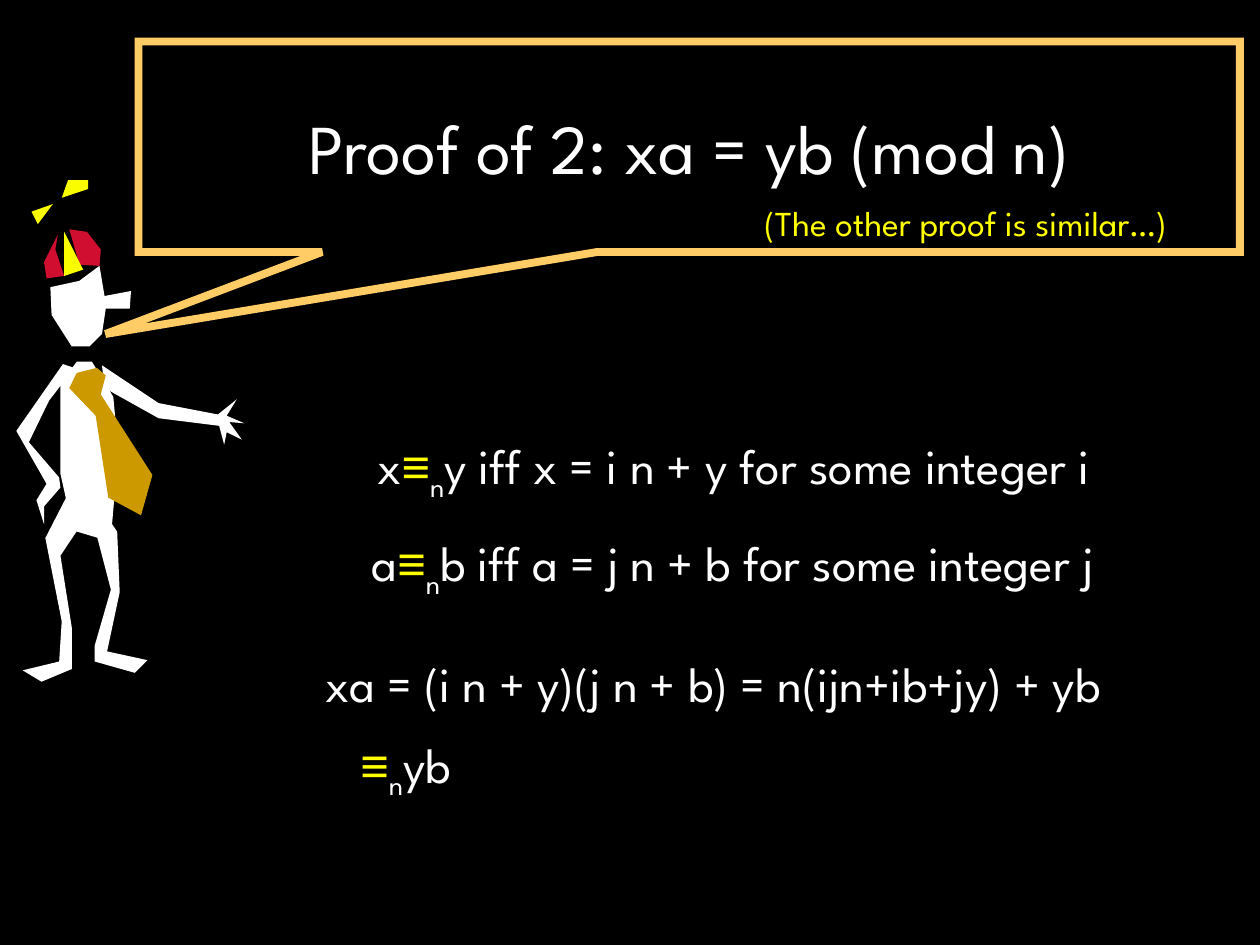
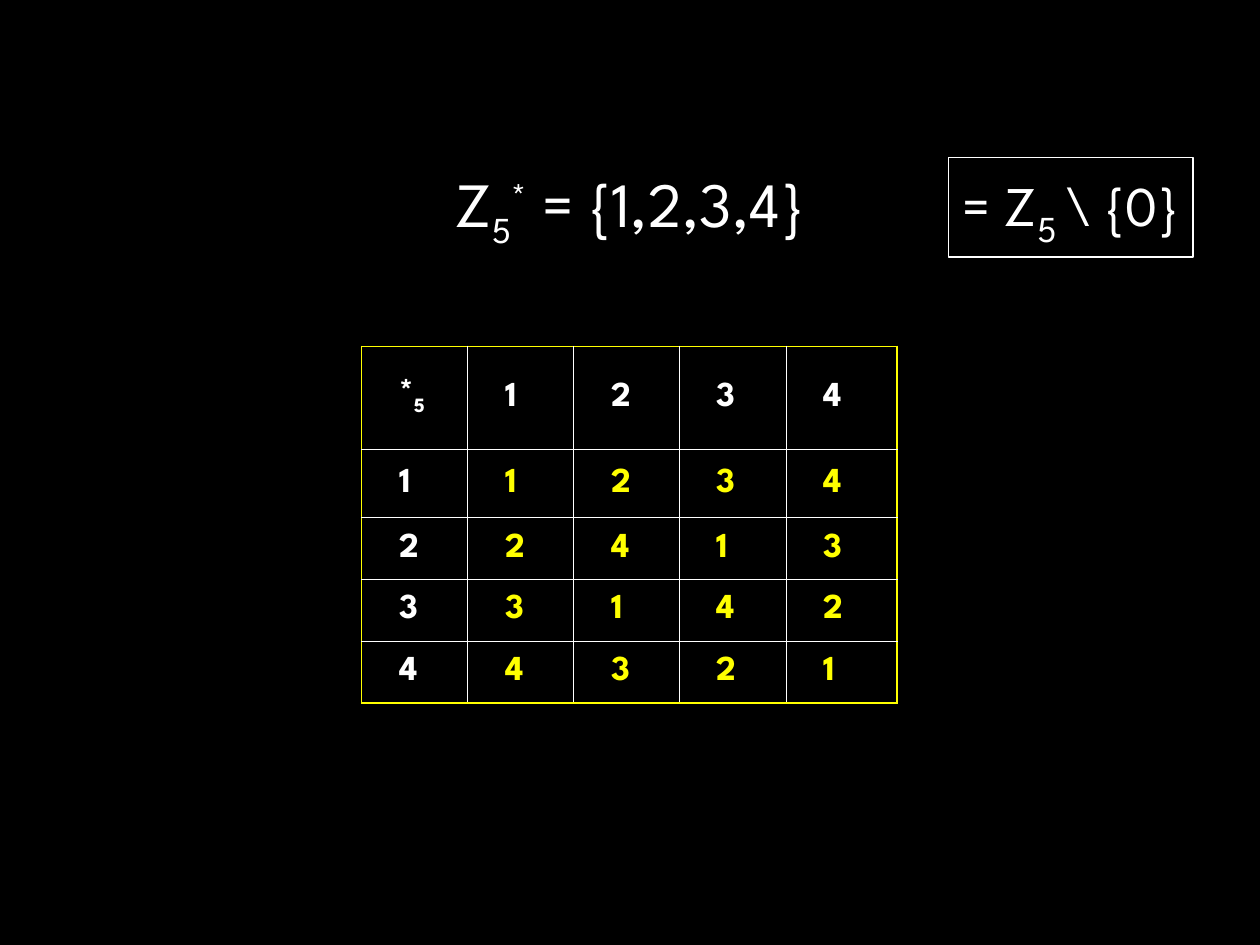
from lxml import etree
from pptx import Presentation, util as u
from pptx.dml.color import RGBColor
from pptx.enum import shapes, text
from pptx.oxml.ns import qn

PX = 9144  # EMU in one px, 100 px to the inch
WHITE, BLACK, YELLOW, ORANGE = "FFFFFF", "000000", "FFFF00", "FFCC66"
OCHRE, RED, LEMON = "CC9900", "CF0E30", "FAFD00"
SUB, SUPER = "-25000", "30000"
rgb = RGBColor.from_string


def write(tf, runs, size, color=WHITE, pad=10, align=text.PP_ALIGN.CENTER, **fmt):
    """Fill a frame with runs: (text, optional dict of size, color, name, baseline)."""
    for side, gap in {"left": pad, "right": pad, "top": 5, "bottom": 5}.items():
        setattr(tf, f"margin_{side}", gap * PX)
    p = tf.paragraphs[0]
    p.alignment = align
    for words, *own in runs:
        f = {"size": size, "color": color, "name": "League Spartan", **fmt}
        f.update(*own)
        r = p.add_run()
        r.text = words
        r.font.color.rgb = rgb(f.pop("color"))
        f["size"] = u.Pt(f["size"])
        baseline = f.pop("baseline", None)
        for key, value in f.items():
            setattr(r.font, key, value)
        if baseline:
            r.font._element.set("baseline", baseline)


def add_label(s, box, runs, size, color=WHITE):
    """Add a one-line text box centred on its place."""
    tf = s.shapes.add_textbox(*[n * PX for n in box]).text_frame
    tf.word_wrap = False
    tf.auto_size = text.MSO_AUTO_SIZE.SHAPE_TO_FIT_TEXT
    write(tf, runs, size, color)


prs = Presentation()
prs.slide_width, prs.slide_height = 1000 * PX, 750 * PX
proof, group_table = [prs.slides.add_slide(prs.slide_layouts[6]) for _ in range(2)]
for s in (proof, group_table):
    s.background.fill.solid()
    s.background.fill.fore_color.rgb = rgb(BLACK)

# Slide 1: speech callout with the title
s = proof
sp = s.shapes.add_shape(shapes.MSO_SHAPE.RECTANGULAR_CALLOUT,
                        110 * PX, 33 * PX, 874 * PX, 167 * PX)
sp.adjustments[0], sp.adjustments[1] = -0.53, 0.89
sp.shadow.inherit = False
sp.fill.background()
sp.line.color.rgb = rgb(ORANGE)
sp.line.width = u.Pt(4.5)
etree.SubElement(sp._element.spPr.find(qn("a:ln")), qn("a:miter"), lim="800000")
sp.text_frame.vertical_anchor = text.MSO_ANCHOR.MIDDLE
write(sp.text_frame, [("Proof of 2: xa = yb (mod n)",)], 40, pad=30)
add_label(s, (573, 155, 387, 44), [("(The other proof is similar…)",)], 20, YELLOW)

# Speaker figure, back to front: colour and outline of each part
figure = [
    # head with nose
    (WHITE, [(40, 228), (63, 223), (79, 211), (83, 235), (104, 231), (103, 245),
             (84, 245), (81, 265), (71, 275), (57, 275), (41, 250)]),
    # body
    (WHITE, [(48, 305), (61, 287), (73, 287), (90, 315), (94, 358), (89, 416),
             (78, 427), (58, 421), (48, 376)]),
    # bent arm
    (WHITE, [(50, 289), (59, 292), (39, 318), (23, 351), (47, 379), (48, 387),
             (35, 402), (35, 416), (29, 397), (37, 384), (13, 342)]),
    # stretched arm
    (WHITE, [(81, 290), (126, 320), (173, 329), (188, 317), (180, 330), (194, 336),
             (182, 335), (192, 349), (180, 343), (178, 353), (174, 338), (126, 332),
             (83, 308)]),
    # left leg
    (WHITE, [(54, 392), (66, 414), (48, 441), (57, 498), (57, 531), (33, 541),
             (18, 532), (47, 525), (49, 493), (36, 427)]),
    # right leg
    (WHITE, [(78, 400), (93, 422), (95, 470), (85, 517), (117, 524), (107, 534),
             (75, 525), (75, 513), (88, 468), (76, 422)]),
    # tie
    (OCHRE, [(61, 296), (77, 292), (84, 298), (80, 313), (121, 377), (112, 409),
             (86, 395), (76, 330), (55, 308)]),
    # cap: two red sides and a stripe
    (RED, [(37, 221), (35, 208), (46, 186), (44, 198), (51, 219)]),
    (RED, [(55, 182), (69, 184), (80, 198), (79, 211), (63, 210)]),
    (LEMON, [(51, 184), (66, 214), (51, 219)]),
    # propeller blades
    (LEMON, [(54, 143), (70, 143), (70, 150), (49, 157)]),
    (LEMON, [(25, 168), (42, 162), (30, 178)]),
]
speaker = s.shapes.add_group_shape()
for color, (start, *rest) in figure:
    outline = speaker.shapes.build_freeform(*start, scale=PX)
    outline.add_line_segments(rest, close=True)
    sp = outline.convert_to_shape()
    sp.shadow.inherit = False
    sp.fill.solid()
    sp.fill.fore_color.rgb = rgb(color)
    sp.line.fill.background()

# Proof lines
congruent = [("≡", {"name": "Arial", "color": YELLOW}), ("n", {"baseline": SUB})]
proof_lines = [
    ((229, 341, 706, 63), [("x",), *congruent, ("y iff x = i n + y for some integer i",)]),
    ((223, 418, 717, 63), [("a",), *congruent, ("b iff a = j n + b for some integer j",)]),
    ((208, 514, 716, 57), [("xa = (i n + y)(j n + b) = n(ijn+ib+jy) + yb",)]),
    ((263, 578, 118, 63), [*congruent, ("yb",)]),
]
for box, runs in proof_lines:
    add_label(s, box, runs, 28)

# Slide 2: multiplication table modulo 5
s = group_table
MOD = 5
widths, heights = [84, 84, 84, 85, 88], [82, 54, 49, 49, 49]
table = s.shapes.add_table(MOD, MOD, 287 * PX, 275 * PX,
                           sum(widths) * PX, sum(heights) * PX).table
table.first_row = table.horz_banding = False
for i in range(MOD):
    table.columns[i].width = widths[i] * PX
    table.rows[i].height = heights[i] * PX

for row in range(MOD):
    for col in range(MOD):
        cell = table.cell(row, col)
        cell.vertical_anchor = text.MSO_ANCHOR.MIDDLE
        # outer edges are yellow, inner ones white and thinner
        edges = {"L": col == 0, "R": col == MOD - 1, "T": row == 0, "B": row == MOD - 1}
        for side, outer in edges.items():
            ln = etree.SubElement(cell._tc.get_or_add_tcPr(), qn(f"a:ln{side}"),
                                  w=str(u.Pt(1.08 if outer else 0.45)))
            fill = etree.SubElement(ln, qn("a:solidFill"))
            etree.SubElement(fill, qn("a:srgbClr"), val=YELLOW if outer else WHITE)
        cell.fill.background()
        if row and col:
            runs = [(str(row * col % MOD), {"color": YELLOW})]
        elif row or col:
            runs = [(str(row + col),)]
        else:
            runs = [("*",), (str(MOD), {"baseline": SUB})]
        cell.margin_left = cell.margin_right = 30 * PX
        write(cell.text_frame, runs, 20, pad=30, align=text.PP_ALIGN.LEFT, bold=True)

# Boxed remark
sp = s.shapes.add_shape(shapes.MSO_SHAPE.RECTANGLE,
                        753 * PX, 125 * PX, 194 * PX, 79 * PX)
sp.shadow.inherit = False
sp.fill.solid()
sp.fill.fore_color.rgb = rgb(BLACK)
sp.line.color.rgb = rgb(WHITE)
sp.line.width = u.Pt(0.75)
tf = sp.text_frame
tf.word_wrap = False
tf.auto_size = text.MSO_AUTO_SIZE.SHAPE_TO_FIT_TEXT
tf.vertical_anchor = text.MSO_ANCHOR.TOP
write(tf, [("= Z",), ("5 ", {"size": 36, "baseline": SUB}), ("\\ {0}",)], 32)

# Title formula
add_label(s, (336, 126, 328, 79),
          [("Z",), ("5", {"baseline": SUB}), ("*", {"baseline": SUPER}), (" = {1,2,3,4}",)], 36)

prs.save("out.pptx")
